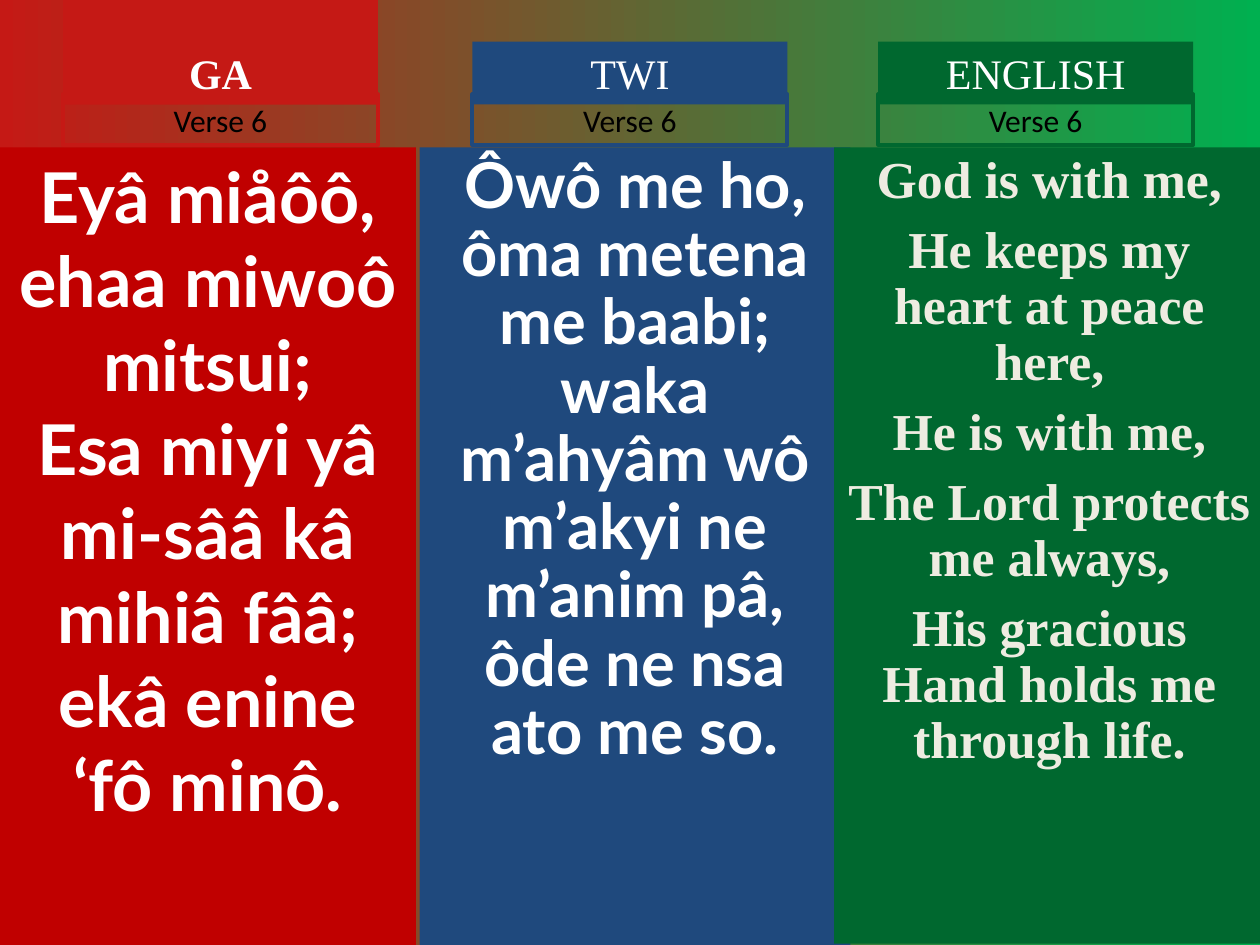
import pptx
import pptx.util
import pptx.dml.color
import pptx.enum.text
import lxml.etree
from pptx.oxml.ns import qn
from pptx.util import Inches, Pt

ALIGN = pptx.enum.text.PP_ALIGN
ANCHOR = pptx.enum.text.MSO_ANCHOR
AUTO_SIZE = pptx.enum.text.MSO_AUTO_SIZE

COLORS = {
    "ga": "C51915", "ga_panel": "C00000", "twi": "1F497D", "english": "00682F",
    "fade_end": "00B050", "white": "FFFFFF", "cream": "EEECE1", "black": "000000",
}


def rgb(name):
    return pptx.dml.color.RGBColor.from_string(COLORS[name])


def write(box, lines, *, size, font, color, bold=False, spacing=1.0, before=0,
          anchor=ANCHOR.TOP, fit=AUTO_SIZE.NONE):
    frame = box.text_frame
    frame.word_wrap = True
    frame.auto_size = fit
    frame.vertical_anchor = anchor
    for index, line in enumerate(lines):
        paragraph = frame.add_paragraph() if index else frame.paragraphs[0]
        properties = paragraph._p.get_or_add_pPr()
        properties.set("marL", "0")
        properties.set("indent", "0")
        lxml.etree.SubElement(properties, qn("a:buNone"))
        paragraph.alignment = ALIGN.CENTER
        paragraph.line_spacing = spacing
        paragraph.space_before = Pt(before if index else 0)
        run = paragraph.add_run()
        run.text = line
        run.font.size = Pt(size)
        run.font.name = font
        run.font.bold = bold
        run.font.color.rgb = rgb(color)


deck = pptx.Presentation()
deck.slide_width, deck.slide_height = Inches(10), Inches(7.5)
slide = deck.slides.add_slide(deck.slide_layouts.get_by_name("Comparison"))

# Background fading from red to green
backdrop = slide.background.fill
backdrop.gradient()
backdrop.gradient_angle = 0
for stop, color in zip(backdrop.gradient_stops, ("ga", "fade_end")):
    stop.color.rgb = rgb(color)

# One language per column
columns = [
    dict(heading="GA", color="ga", panel="ga_panel", left=0, width=3.3, height=6.33,
         heading_left=0.5, heading_bold=True,
         style=dict(size=40, font="Lato", color="white"),
         verse=["Eyâ miåôô, ehaa miwoô mitsui;",
                "Esa miyi yâ mi-sââ kâ mihiâ fââ;",
                "ekâ enine ‘fô minô."]),
    dict(heading="TWI", color="twi", panel="twi", left=3.33, width=3.42, height=6.33,
         heading_left=3.75, heading_bold=False,
         style=dict(size=36.1, font="Lato", color="white", spacing=0.9),
         verse=["Ôwô me ho, ôma metena me baabi;",
                "waka m’ahyâm wô m’akyi ne m’anim pâ,",
                "ôde ne nsa ato me so."]),
    dict(heading="ENGLISH", color="english", panel="english", left=6.62, width=3.42,
         height=6.32, heading_left=6.97, heading_bold=False,
         style=dict(size=29.6, font="Times New Roman", color="cream", spacing=0.9,
                    before=8),
         verse=["God is with me,",
                "He keeps my heart at peace here,",
                "He is with me,",
                "The Lord protects me always,",
                "His gracious Hand holds me through life."]),
]

title, *panels = slide.placeholders
unused = panels.pop()
unused._element.getparent().remove(unused._element)

for column, panel in zip(columns, panels):
    # Verse text on its coloured panel
    panel.left, panel.top = Inches(column["left"]), Inches(1.17)
    panel.width, panel.height = Inches(column["width"]), Inches(column["height"])
    panel.fill.solid()
    panel.fill.fore_color.rgb = rgb(column["panel"])
    write(panel, column["verse"], bold=True, **column["style"])

    # Language heading; the first one is the slide title
    left, width = Inches(column["heading_left"]), Inches(2.5)
    if column is columns[0]:
        heading = title
        heading.left, heading.top = left, Inches(0.33)
        heading.width, heading.height = width, Inches(0.5)
    else:
        heading = slide.shapes.add_textbox(left, Inches(0.33), width, Inches(0.5))
    heading.fill.solid()
    heading.fill.fore_color.rgb = rgb(column["color"])
    write(heading, [column["heading"]], size=24, font="Times New Roman", color="white",
          bold=column["heading_bold"], anchor=ANCHOR.BOTTOM,
          fit=AUTO_SIZE.SHAPE_TO_FIT_TEXT)

    # Outlined verse number
    number = slide.shapes.add_textbox(left, Inches(0.75), width, Inches(0.4))
    number.line.color.rgb = rgb(column["color"])
    number.line.width = Pt(2.25)
    write(number, ["Verse 6"], size=18, font="Calibri", color="black",
          fit=AUTO_SIZE.SHAPE_TO_FIT_TEXT)

deck.save("out.pptx")
